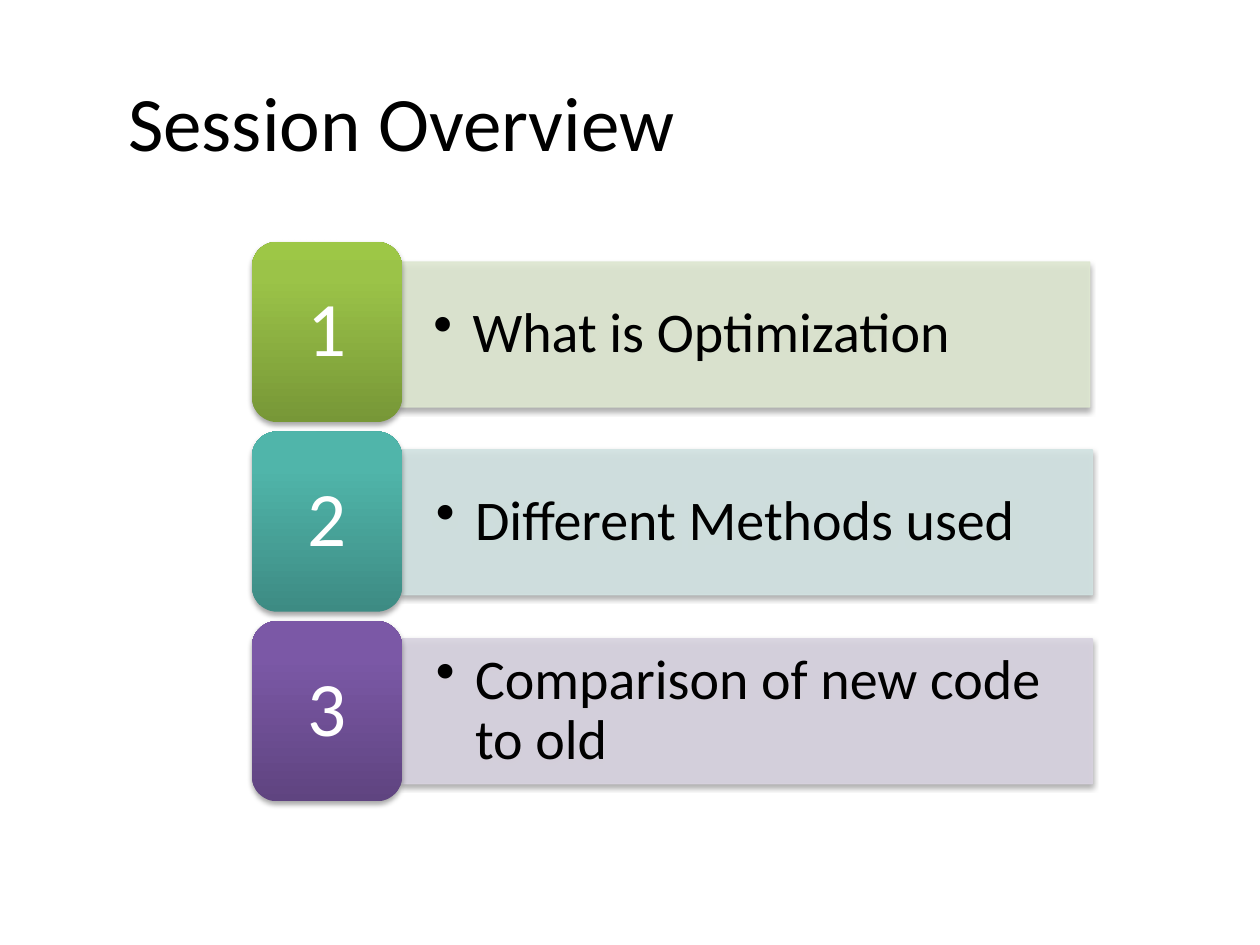
from copy import deepcopy
from dataclasses import dataclass

from lxml import etree
from pptx import Presentation
from pptx import util as u
from pptx.dml.color import RGBColor
from pptx.enum import shapes, text
from pptx.oxml.ns import qn

FONT = "Calibri"
COLORS = {"text": "000000", "number": "FFFFFF", "shadow": "000000"}
TILE_TOP, TILE_PITCH = 1.92, 1.505
STOPS = (0, 0.8, 1)


@dataclass
class Topic:
    label: str
    bar_left: float
    bar_top: float
    bar_color: str
    gradient: tuple[str, str, str]


TOPICS = [
    Topic("What is Optimization", 3.17, 2.08, "DEE7D1", ("779737", "9BC348", "9DC746")),
    Topic("Different Methods used", 3.19, 3.57, "D2E3E2", ("3D8B83", "50B5AA", "4EB8AC")),
    Topic("Comparison of new code to old", 3.19, 5.07, "D8D3E0", ("5F4480", "7B58A6", "7C57A8")),
]


def add_alpha(color, percent: int) -> None:
    etree.SubElement(color, qn("a:alpha"), val=str(percent * 1000))


def add_shadow(sp) -> None:
    sp.shadow.inherit = False
    effects = sp._element.spPr.find(qn("a:effectLst"))
    shadow = etree.SubElement(
        effects, qn("a:outerShdw"), blurRad=str(u.Pt(3.1)), dist=str(u.Pt(1.8)),
        dir="5400000", rotWithShape="0")
    add_alpha(etree.SubElement(shadow, qn("a:srgbClr"), val=COLORS["shadow"]), 35)


def write_text(sp, content: str, size: int, color: str, align, margins: tuple[float, float]):
    tf = sp.text_frame
    tf.word_wrap = True
    tf.vertical_anchor = text.MSO_ANCHOR.MIDDLE
    tf.margin_left = tf.margin_right = u.Inches(margins[0])
    tf.margin_top = tf.margin_bottom = u.Inches(margins[1])
    p = tf.paragraphs[0]
    p.alignment = align
    r = p.add_run()
    r.text = content
    r.font.name = FONT
    r.font.size = u.Pt(size)
    r.font.color.rgb = RGBColor.from_string(color)
    return p


def add_bar(s, topic: Topic) -> None:
    sp = s.shapes.add_shape(
        shapes.MSO_SHAPE.RECTANGLE, u.Inches(topic.bar_left), u.Inches(topic.bar_top),
        u.Inches(5.48), u.Inches(1.15))
    sp.line.width = u.Pt(0.75)
    sp.fill.solid()
    sp.line.fill.solid()
    for color_format in (sp.fill.fore_color, sp.line.color):
        color_format.rgb = RGBColor.from_string(topic.bar_color)
    for color in sp._element.spPr.iter(qn("a:srgbClr")):
        add_alpha(color, 90)
    add_shadow(sp)
    p = write_text(sp, topic.label, 32, COLORS["text"], text.PP_ALIGN.LEFT, (0.27, 0.14))
    p.level = 1
    p.line_spacing = 0.9
    pPr = p._p.get_or_add_pPr()
    pPr.set("marL", str(u.Inches(0.31)))
    pPr.set("indent", str(u.Inches(-0.31)))
    etree.SubElement(pPr, qn("a:buChar"), char="•")


def add_tile(s, number: int, topic: Topic) -> None:
    top = TILE_TOP + (number - 1) * TILE_PITCH
    sp = s.shapes.add_shape(
        shapes.MSO_SHAPE.ROUNDED_RECTANGLE, u.Inches(2), u.Inches(top),
        u.Inches(1.19), u.Inches(1.43))
    sp.fill.gradient()
    sp.fill.gradient_angle = 90
    stop_list = sp._element.spPr.find(".//" + qn("a:gsLst"))
    stop_list.append(deepcopy(stop_list[0]))
    for stop, position, color in zip(sp.fill.gradient_stops, STOPS, topic.gradient):
        stop.position = position
        stop.color.rgb = RGBColor.from_string(color)
    sp.line.fill.background()
    add_shadow(sp)
    p = write_text(sp, str(number), 44, COLORS["number"], text.PP_ALIGN.CENTER, (0.24, 0.14))
    p.line_spacing = 0.9


def main() -> None:
    prs = Presentation()
    prs.slide_width, prs.slide_height = u.Inches(10), u.Inches(7.5)
    s = prs.slides.add_slide(prs.slide_layouts[6])
    for number, topic in enumerate(TOPICS, 1):
        add_bar(s, topic)
        add_tile(s, number, topic)
    title = s.shapes.add_textbox(u.Inches(0.92), u.Inches(0.33), u.Inches(8.83), u.Inches(1.25))
    write_text(title, "Session Overview", 44, COLORS["text"], text.PP_ALIGN.LEFT, (0.1, 0.05))
    prs.save("out.pptx")


if __name__ == "__main__":
    main()
